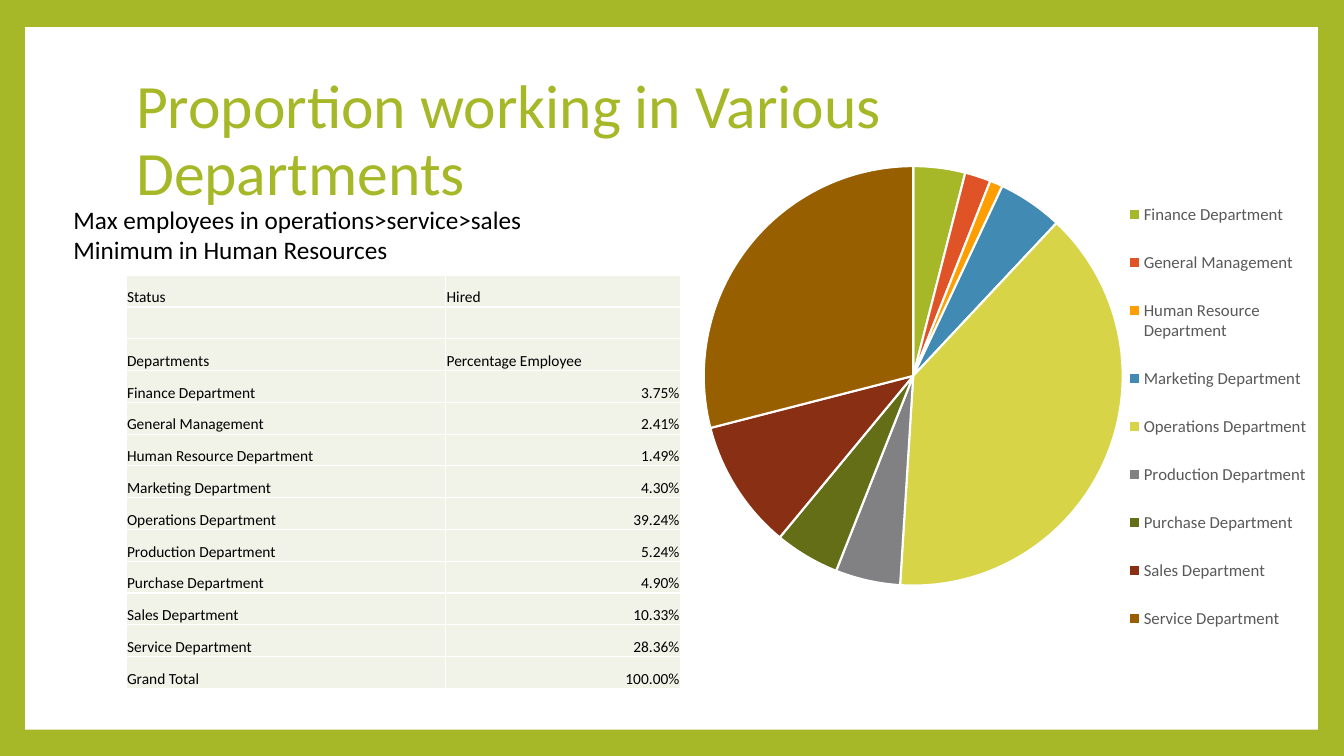
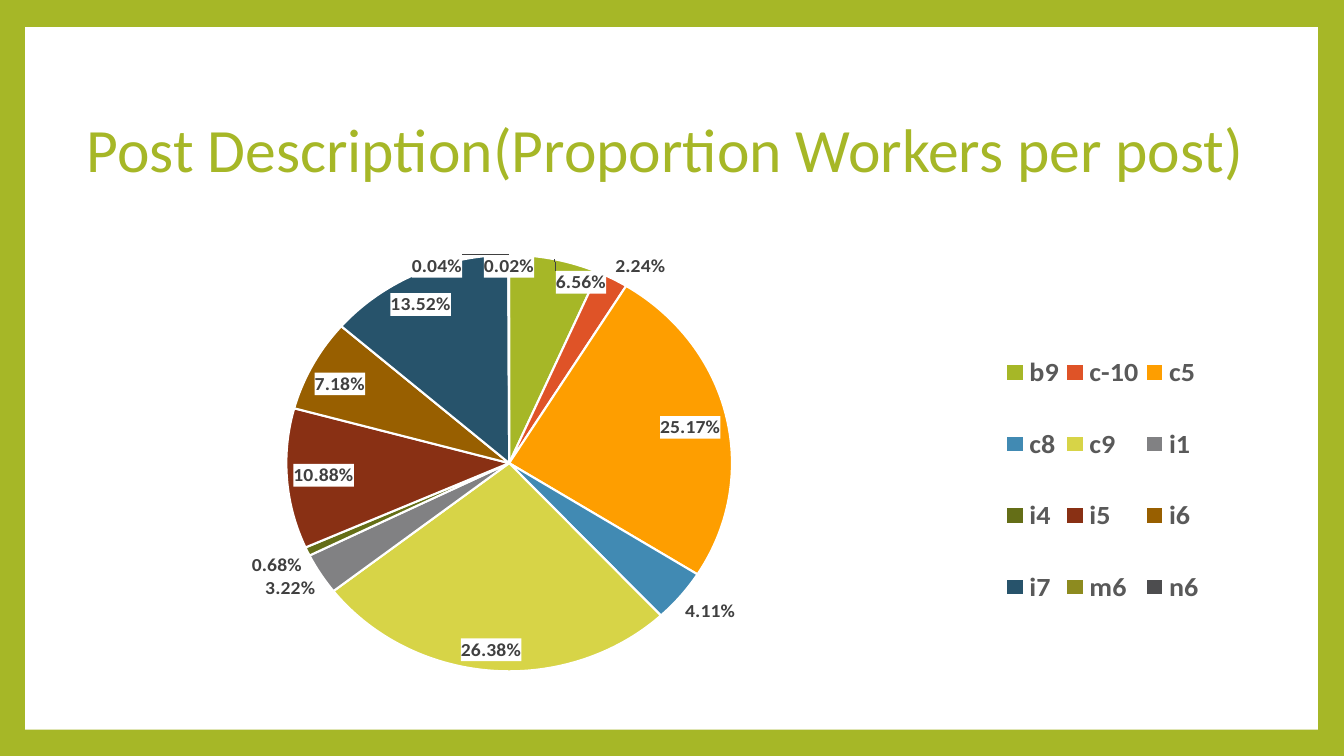
from dataclasses import dataclass
from typing import Any, Optional

from lxml import etree
from pptx import Presentation
from pptx.chart.data import CategoryChartData
from pptx.dml.color import RGBColor
from pptx.enum.chart import XL_CHART_TYPE, XL_LABEL_POSITION, XL_LEGEND_POSITION
from pptx.enum.shapes import MSO_SHAPE
from pptx.enum.text import MSO_ANCHOR, PP_ALIGN
from pptx.oxml import parse_xml
from pptx.oxml.ns import nsdecls, qn
from pptx.util import Inches, Pt

PIE = XL_CHART_TYPE.PIE
BEST_FIT = XL_LABEL_POSITION.BEST_FIT
LEGEND_RIGHT = XL_LEGEND_POSITION.RIGHT
RECTANGLE = MSO_SHAPE.RECTANGLE
MIDDLE, BOTTOM = MSO_ANCHOR.MIDDLE, MSO_ANCHOR.BOTTOM
LEFT, RIGHT = PP_ALIGN.LEFT, PP_ALIGN.RIGHT
TITLE_ONLY = 5

GREEN = RGBColor(0xA6, 0xB7, 0x27)
WHITE = RGBColor(0xFF, 0xFF, 0xFF)
BLACK = RGBColor(0, 0, 0)
CELL_FILL = RGBColor(0xF1, 0xF3, 0xE8)
LEGEND_GREY = RGBColor(0x59, 0x59, 0x59)
LABEL_GREY = RGBColor(0x40, 0x40, 0x40)
SLICE_COLORS = [GREEN] + [RGBColor.from_string(code) for code in (
    "DF5327", "FE9E00", "418AB3", "D7D447", "818183", "646E17",
    "893014", "985F00", "27536B", "8D8B1F", "4D4D4F")]

FONT = "Calibri"
TITLE_FONT = {"name": FONT, "size": Pt(44), "color": GREEN}
BODY_FONT = {"name": FONT, "size": Pt(18), "color": BLACK}
CELL_FONT = {"name": FONT, "size": Pt(11), "color": BLACK}
CHART_FONT = {"name": FONT, "size": Pt(10), "color": BLACK}
LABEL_FONT = {"name": FONT, "size": Pt(14), "color": LABEL_GREY, "bold": True}
CELL_FORMAT = {"vertical_anchor": BOTTOM, "margin_left": Inches(0.01),
               "margin_right": Inches(0.01), "margin_top": Inches(0.01),
               "margin_bottom": 0}


@dataclass(frozen=True)
class Box:
    """A place: in inches on a slide, in fractions inside a chart."""
    left: float
    top: float
    width: float
    height: float

    def inches(self) -> tuple:
        """Return the four lengths for python-pptx."""
        return tuple(Inches(n) for n in
                     (self.left, self.top, self.width, self.height))


@dataclass(frozen=True)
class Pie:
    """A pie chart with its legend."""
    box: Box
    plot: Box
    legend: Box
    legend_font: dict
    shares: dict
    label_format: Optional[str] = None


PANEL = Box(0.25, 0.27, 12.82, 6.97)

DEPARTMENT_ROWS = [
    ("Status", "Hired"),
    ("", ""),
    ("Departments", "Percentage Employee"),
    ("Finance Department", "3.75%"),
    ("General Management", "2.41%"),
    ("Human Resource Department", "1.49%"),
    ("Marketing Department", "4.30%"),
    ("Operations Department", "39.24%"),
    ("Production Department", "5.24%"),
    ("Purchase Department", "4.90%"),
    ("Sales Department", "10.33%"),
    ("Service Department", "28.36%"),
    ("Grand Total", "100.00%"),
]
DEPARTMENT_NAMES = [name for name, _ in DEPARTMENT_ROWS[3:-1]]

DEPARTMENT_PIE = Pie(
    box=Box(6.97, 1.43, 6.12, 5.41),
    plot=Box(0, 0.04, 0.68, 0.77),
    legend=Box(0.68, 0.06, 0.31, 0.88),
    legend_font={"name": FONT, "size": Pt(12), "color": LEGEND_GREY},
    shares=dict(zip(DEPARTMENT_NAMES, (4, 2, 1, 5, 39, 5, 5, 10, 29))),
)
POST_PIE = Pie(
    box=Box(1.27, 2.25, 10.8, 4.42),
    plot=Box(0.1, 0, 0.5, 1),
    legend=Box(0.8, 0.15, 0.19, 0.78),
    legend_font={"name": FONT, "size": Pt(20), "color": LEGEND_GREY,
                 "bold": True},
    shares={"b9": 0.0656, "c-10": 0.0224, "c5": 0.2517, "c8": 0.0411,
            "c9": 0.2638, "i1": 0.0322, "i4": 0.0068, "i5": 0.1088,
            "i6": 0.0718, "i7": 0.1352, "m6": 0.0004, "n6": 0.0002},
    label_format="0.00%",
)


def apply_format(target: Any, values: dict) -> None:
    """Set each value on the target; a colour goes to its color.rgb."""
    for key, value in values.items():
        if key == "color":
            target.color.rgb = value
        else:
            setattr(target, key, value)


def fill_solid(target: Any, color: RGBColor) -> None:
    """Give a shape, cell or background one plain fill."""
    target.fill.solid()
    target.fill.fore_color.rgb = color


def set_up_master(prs: Any, slide: Any) -> None:
    """Put the green frame and the white panel on the slide master."""
    fill_solid(prs.slide_master.background, GREEN)
    panel = slide.shapes.add_shape(RECTANGLE, *PANEL.inches())
    panel.shadow.inherit = False
    fill_solid(panel, WHITE)
    panel.line.fill.background()
    prs.slide_master.shapes._spTree.insert(2, panel._element)


def set_title(slide: Any, text: str, box: Box) -> None:
    """Place and format the slide title."""
    title = slide.shapes.title
    places = zip(("left", "top", "width", "height"), box.inches())
    apply_format(title, dict(places))
    frame = title.text_frame
    frame.text = text
    apply_format(frame, {"word_wrap": True, "vertical_anchor": MIDDLE})
    paragraph = frame.paragraphs[0]
    apply_format(paragraph, {"alignment": LEFT, "line_spacing": 0.9})
    apply_format(paragraph.runs[0].font, TITLE_FONT)


def add_findings(slide: Any, lines: list, box: Box) -> None:
    """Add the short findings, one paragraph a line."""
    frame = slide.shapes.add_textbox(*box.inches()).text_frame
    frame.word_wrap = True
    frame.text = "\n".join(lines)
    for paragraph in frame.paragraphs:
        apply_format(paragraph.runs[0].font, BODY_FONT)


def add_cell_borders(cell: Any) -> None:
    """Draw white one-point borders round a cell."""
    properties = cell._tc.get_or_add_tcPr()
    for index, side in enumerate(("lnL", "lnR", "lnT", "lnB")):
        properties.insert(index, parse_xml(
            f'<a:{side} {nsdecls("a")} w="12700"><a:solidFill>'
            f'<a:srgbClr val="{WHITE}"/></a:solidFill></a:{side}>'))


def add_department_table(slide: Any, box: Box, widths: tuple) -> None:
    """Add the table of departments and their shares."""
    table = slide.shapes.add_table(
        len(DEPARTMENT_ROWS), len(widths), *box.inches()).table
    apply_format(table, {"first_row": False, "horz_banding": False})
    for column, width in zip(table.columns, widths):
        column.width = Inches(width)
    for row, texts in zip(table.rows, DEPARTMENT_ROWS):
        for cell, text in zip(row.cells, texts):
            apply_format(cell, CELL_FORMAT)
            fill_solid(cell, CELL_FILL)
            add_cell_borders(cell)
            paragraph = cell.text_frame.paragraphs[0]
            paragraph.alignment = RIGHT if text.endswith("%") else LEFT
            if text:
                run = paragraph.add_run()
                run.text = text
                apply_format(run.font, CELL_FONT)


def set_layout(parent: Any, box: Box, index: int, inner: bool = False) -> None:
    """Fix the place of a chart part inside its chart."""
    for old in parent.findall(qn("c:layout")):
        parent.remove(old)
    layout = parse_xml(f'<c:layout {nsdecls("c")}><c:manualLayout/></c:layout>')
    values = {"layoutTarget": "inner"} if inner else {}
    values |= {"xMode": "edge", "yMode": "edge", "x": box.left, "y": box.top,
               "w": box.width, "h": box.height}
    for tag, value in values.items():
        etree.SubElement(layout[0], qn(f"c:{tag}")).set("val", str(value))
    parent.insert(index, layout)


def add_labels(plot: Any, number_format: str) -> None:
    """Show slice values on white."""
    plot.has_data_labels = True
    labels = plot.data_labels
    apply_format(labels, {"show_value": True, "show_percentage": False,
                          "number_format": number_format,
                          "number_format_is_linked": False,
                          "position": BEST_FIT})
    apply_format(labels.font, LABEL_FONT)
    labels._element.find(qn("c:txPr")).addprevious(parse_xml(
        f'<c:spPr {nsdecls("c", "a")}><a:solidFill>'
        f'<a:srgbClr val="{WHITE}"/></a:solidFill></c:spPr>'))


def add_pie(slide: Any, pie: Pie) -> None:
    """Add a pie chart with coloured slices and a placed legend."""
    data = CategoryChartData(number_format=pie.label_format or "General")
    data.categories = list(pie.shares)
    data.add_series("Series 1", list(pie.shares.values()))
    chart = slide.shapes.add_chart(PIE, *pie.box.inches(), data).chart
    apply_format(chart, {"has_title": False, "has_legend": True})
    apply_format(chart.font, CHART_FONT)
    apply_format(chart.legend, {"position": LEGEND_RIGHT,
                                "include_in_layout": False})
    apply_format(chart.legend.font, pie.legend_font)
    set_layout(chart.legend._element, pie.legend, 1)
    plot_area = chart._chartSpace.find(f'{qn("c:chart")}/{qn("c:plotArea")}')
    set_layout(plot_area, pie.plot, 0, inner=True)
    plot = chart.plots[0]
    plot.vary_by_categories = True
    for index, color in enumerate(SLICE_COLORS[:len(pie.shares)]):
        slice_format = plot.series[0].points[index].format
        fill_solid(slice_format, color)
        apply_format(slice_format.line, {"color": WHITE, "width": Pt(1.5)})
    if pie.label_format:
        add_labels(plot, pie.label_format)


def main() -> None:
    """Build and save the presentation."""
    prs = Presentation()
    prs.slide_width, prs.slide_height = Inches(13.33), Inches(7.5)
    layout = prs.slide_layouts[TITLE_ONLY]

    departments = prs.slides.add_slide(layout)
    set_up_master(prs, departments)
    set_title(departments, "Proportion working in Various Departments",
              Box(1.25, 0.67, 10.8, 1.48))
    add_department_table(departments, Box(1.25, 2.73, 5.5, 4.1), (3.17, 2.33))
    add_pie(departments, DEPARTMENT_PIE)
    add_findings(departments, ["Max employees in operations>service>sales",
                               "Minimum in Human Resources"],
                 Box(0.63, 1.98, 6.03, 0.71))

    posts = prs.slides.add_slide(layout)
    set_title(posts, "Post Description(Proportion Workers per post)",
              Box(0.76, 0.77, 11.82, 1.48))
    add_pie(posts, POST_PIE)

    prs.save("out.pptx")


main()
